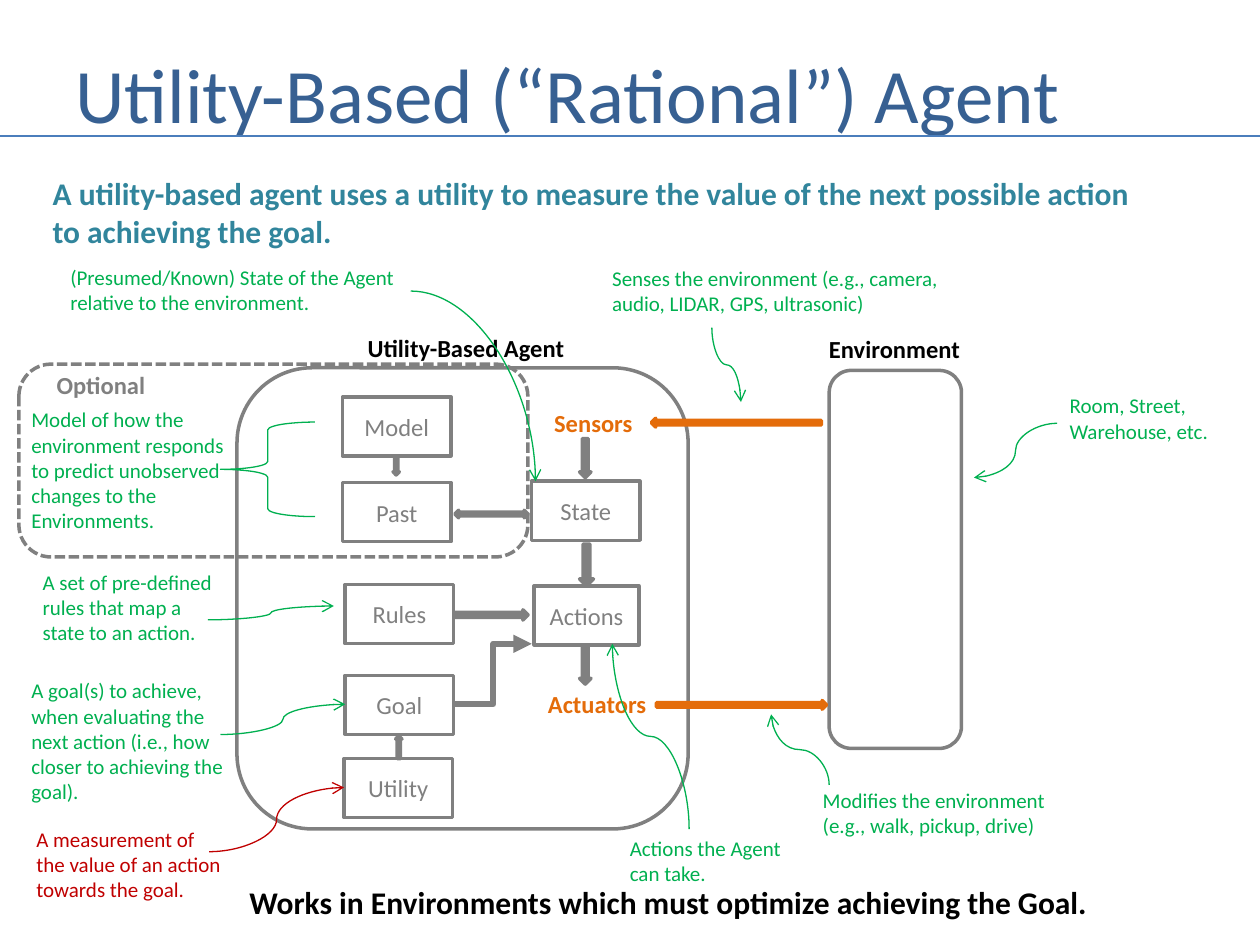
"""Build the slide that explains the utility-based agent and its environment."""
from dataclasses import dataclass

import pptx
import pptx.dml.color
import pptx.enum.dml
import pptx.enum.shapes
import pptx.enum.text
import pptx.oxml
import pptx.oxml.ns
import pptx.util

Pt = pptx.util.Pt
KINDS = pptx.enum.shapes.MSO_SHAPE
ROUTES = pptx.enum.shapes.MSO_CONNECTOR
FONT = "Calibri"
GREY, GREEN, ORANGE = "808080", "00B050", "E46C0A"
RED, BLACK, TEAL = "C00000", "000000", "31859C"
TITLE_BLUE, RULE_BLUE = "376092", "4B7EBC"
BOX_WIDTH, BOX_HEIGHT = 61.9, 33.8
LABEL_HEIGHT = 24.5


@dataclass
class Outline:
    kind: int
    left: float
    top: float
    width: float
    height: float
    color: str = GREY
    weight: float = 2
    dashed: bool = False


@dataclass
class Box:
    name: str
    left: float
    top: float
    width: float = BOX_WIDTH


@dataclass
class BlockArrow:
    kind: int
    left: float
    top: float
    width: float
    height: float
    color: str = GREY
    rotation: float = 0


@dataclass
class Caption:
    text: str
    left: float
    top: float
    width: float
    height: float
    color: str = GREEN
    size: float = 12
    bold: bool = False
    wrap: bool = False
    middle: bool = False


@dataclass
class Pointer:
    start: tuple[float, float]
    end: tuple[float, float]
    route: str = "across"
    color: str = GREEN
    weight: float = 0.75
    head: str = "arrow"


OUTLINES = [
    Outline(KINDS.ROUNDED_RECTANGLE, 135.4, 210.2, 257.8, 263.5),
    Outline(KINDS.ROUNDED_RECTANGLE, 473.8, 211.7, 75.6, 216),
    Outline(KINDS.ROUNDED_RECTANGLE, 10.8, 208.1, 290.9, 110.2, dashed=True),
    Outline(KINDS.LEFT_BRACE, 126, 241.2, 54, 54, GREEN, 0.75),
]
BOXES = [
    Box("Model", 195.8, 226.8),
    Box("Past", 195.8, 275.8),
    Box("State", 303.8, 275),
    Box("Rules", 197.3, 334.1),
    Box("Actions", 305.3, 334.8, 59.8),
    Box("Goal", 197.3, 385.9),
    Box("Utility", 196.6, 433.4),
]
BLOCK_ARROWS = [
    BlockArrow(KINDS.RIGHT_ARROW, 375.1, 400.3, 97.2, 5, ORANGE),
    BlockArrow(KINDS.RIGHT_ARROW, 372.2, 239, 97.2, 5, ORANGE, 180),
    BlockArrow(KINDS.DOWN_ARROW, 331.2, 250.6, 6.5, 22.3),
    BlockArrow(KINDS.DOWN_ARROW, 331.2, 311, 7.9, 23.8),
    BlockArrow(KINDS.DOWN_ARROW, 331.2, 368.6, 6.5, 22.3),
    BlockArrow(KINDS.RIGHT_ARROW, 259.9, 348.5, 41.8, 5.8),
    BlockArrow(KINDS.LEFT_RIGHT_ARROW, 259.9, 291.6, 41.8, 4.3),
    BlockArrow(KINDS.DOWN_ARROW, 224.6, 260.6, 3.6, 10.8),
    BlockArrow(KINDS.DOWN_ARROW, 226.1, 420.5, 3.6, 13, rotation=180),
]
CAPTIONS = [
    Caption("Utility-Based (“Rational”) Agent", 36, 21.6, 653.8, 62.6, TITLE_BLUE, 44,
            wrap=True, middle=True),
    Caption("A utility-based agent uses a utility to measure the value of the next "
            "possible action to achieving the goal.", 23, 95.8, 643, 51.1, TEAL, 18, True, True),
    Caption("Utility-Based Agent", 203, 186.5, 128.2, LABEL_HEIGHT, BLACK, 14, True),
    Caption("Environment", 466.6, 187.2, 90, LABEL_HEIGHT, BLACK, 14, True),
    Caption("Sensors", 309.6, 229.7, 59.8, LABEL_HEIGHT, ORANGE, 14, True),
    Caption("Actuators", 306, 390.2, 71.3, LABEL_HEIGHT, ORANGE, 14, True),
    Caption("Optional", 25.2, 208.1, 65.5, LABEL_HEIGHT, GREY, 14, True),
    Caption("Senses the environment (e.g., camera, \naudio, LIDAR, GPS, ultrasonic)",
            342.7, 148.3, 205.2, 36),
    Caption("Room, Street, \nWarehouse, etc.", 604.1, 221, 94.3, 36),
    Caption("Modifies the environment\n(e.g., walk, pickup, drive)", 463, 446.4, 142.6, 36),
    Caption("(Presumed/Known) State of the Agent\nrelative to the environment.",
            33.1, 147.6, 201.6, 36),
    Caption("Actions the Agent\ncan take.", 352.8, 473.8, 102.2, 36),
    Caption("A set of pre-defined \nrules that map a \nstate to an action.",
            17.3, 321.8, 115.2, 51.1),
    Caption("Model of how the\nenvironment responds\nto predict unobserved\n"
            "changes to the\nEnvironments.", 10.8, 229, 128.2, 79.9),
    Caption("A goal(s) to achieve,\nwhen evaluating the\nnext action (i.e., how\n"
            "closer to achieving the\ngoal).", 10.8, 383.8, 126.7, 79.9),
    Caption("A measurement of\nthe value of an action\ntowards the goal.",
            13.7, 468.7, 121, 51.1, RED),
    Caption("Works in Environments which must optimize achieving the Goal.",
            135.4, 501.1, 496.8, 28.8, BLACK, 18, True),
]
POINTERS = [
    Pointer((0, 77.8), (720, 77.8), "straight", RULE_BLUE, 1.5, "none"),
    Pointer((406.8, 187.2), (423.4, 229.7), "upright"),
    Pointer((604.1, 241.9), (556.6, 272.9)),
    Pointer((473.8, 448.6), (440.6, 408.2), "upright"),
    Pointer((234.7, 166.3), (306, 275), "corner"),
    Pointer((393.8, 473.8), (349.9, 367.9), "upright"),
    Pointer((118.8, 354.2), (190.8, 346.3)),
    Pointer((126, 419.8), (197.3, 402.5)),
    Pointer((119.5, 486.7), (196.6, 450), color=RED),
    Pointer((259.9, 402.5), (303.8, 367.9), "bent", GREY, 3.5, "triangle"),
]


def paint(color_format, color: str) -> None:
    """Give a colour format a hex colour."""
    color_format.rgb = pptx.dml.color.RGBColor.from_string(color)


def write(frame, text: str, color: str, size: float, bold: bool = False, align=None) -> None:
    """Write each line of the text as a paragraph holding one run."""
    for number, line in enumerate(text.split("\n")):
        paragraph = frame.add_paragraph() if number else frame.paragraphs[0]
        paragraph.alignment = align
        run = paragraph.add_run()
        run.text = line
        run.font.name, run.font.size, run.font.bold = FONT, Pt(size), bold
        paint(run.font.color, color)


def draw_outline(slide, outline: Outline):
    """Draw an unfilled, outlined shape."""
    shape = slide.shapes.add_shape(outline.kind, Pt(outline.left), Pt(outline.top),
                                   Pt(outline.width), Pt(outline.height))
    shape.shadow.inherit = False
    shape.fill.background()
    paint(shape.line.color, outline.color)
    shape.line.width = Pt(outline.weight)
    if outline.dashed:
        shape.line.dash_style = pptx.enum.dml.MSO_LINE.SQUARE_DOT
        dash = shape.element.spPr.find(".//" + pptx.oxml.ns.qn("a:prstDash"))
        dash.set("val", "sysDash")
    return shape


def draw_box(slide, box: Box) -> None:
    """Draw a named component of the agent."""
    shape = draw_outline(slide, Outline(KINDS.RECTANGLE, box.left, box.top, box.width, BOX_HEIGHT))
    shape.text_frame.vertical_anchor = pptx.enum.text.MSO_ANCHOR.MIDDLE
    write(shape.text_frame, box.name, GREY, 14, align=pptx.enum.text.PP_ALIGN.CENTER)


def draw_block_arrow(slide, arrow: BlockArrow) -> None:
    """Draw a filled arrow between components."""
    shape = draw_outline(slide, Outline(arrow.kind, arrow.left, arrow.top,
                                        arrow.width, arrow.height, arrow.color))
    shape.fill.solid()
    paint(shape.fill.fore_color, arrow.color)
    shape.rotation = arrow.rotation


def draw_caption(slide, caption: Caption) -> None:
    """Draw free-standing text."""
    frame = slide.shapes.add_textbox(Pt(caption.left), Pt(caption.top),
                                     Pt(caption.width), Pt(caption.height)).text_frame
    frame.word_wrap = caption.wrap
    if caption.middle:
        frame.vertical_anchor = pptx.enum.text.MSO_ANCHOR.MIDDLE
    write(frame, caption.text, caption.color, caption.size, caption.bold)


def draw_pointer(slide, pointer: Pointer) -> None:
    """Draw a connector, turning it a quarter when it leaves its start upright."""
    (x1, y1), (x2, y2) = pointer.start, pointer.end
    down = y2 > y1
    if pointer.route == "upright":
        middle_x, middle_y, reach = (x1 + x2) / 2, (y1 + y2) / 2, abs(y2 - y1) / 2
        drop = (x2 - x1) / 2 if down else (x1 - x2) / 2
        x1, y1, x2, y2 = middle_x - reach, middle_y + drop, middle_x + reach, middle_y - drop
    route = {"straight": ROUTES.STRAIGHT, "bent": ROUTES.ELBOW}.get(pointer.route, ROUTES.CURVE)
    connector = slide.shapes.add_connector(route, Pt(x1), Pt(y1), Pt(x2), Pt(y2))
    paint(connector.line.color, pointer.color)
    connector.line.width = Pt(pointer.weight)
    properties = connector.element.spPr
    qn, element = pptx.oxml.ns.qn, pptx.oxml.xmlchemy.OxmlElement
    if pointer.route == "upright":
        properties.find(qn("a:xfrm")).set("rot", str((90 if down else 270) * 60000))
    if pointer.route == "corner":
        properties.find(qn("a:prstGeom")).set("prst", "curvedConnector2")
    tail = element("a:tailEnd")
    tail.set("type", pointer.head)
    properties.find(qn("a:ln")).append(tail)
    properties.append(element("a:effectLst"))


def main() -> None:
    """Build and save the slide."""
    deck = pptx.Presentation()
    deck.slide_width, deck.slide_height = Pt(720), Pt(540)
    slide = deck.slides.add_slide(deck.slide_layouts[6])
    for draw, items in ((draw_outline, OUTLINES), (draw_box, BOXES),
                        (draw_block_arrow, BLOCK_ARROWS), (draw_caption, CAPTIONS),
                        (draw_pointer, POINTERS)):
        for item in items:
            draw(slide, item)
    deck.save("out.pptx")


if __name__ == "__main__":
    main()
